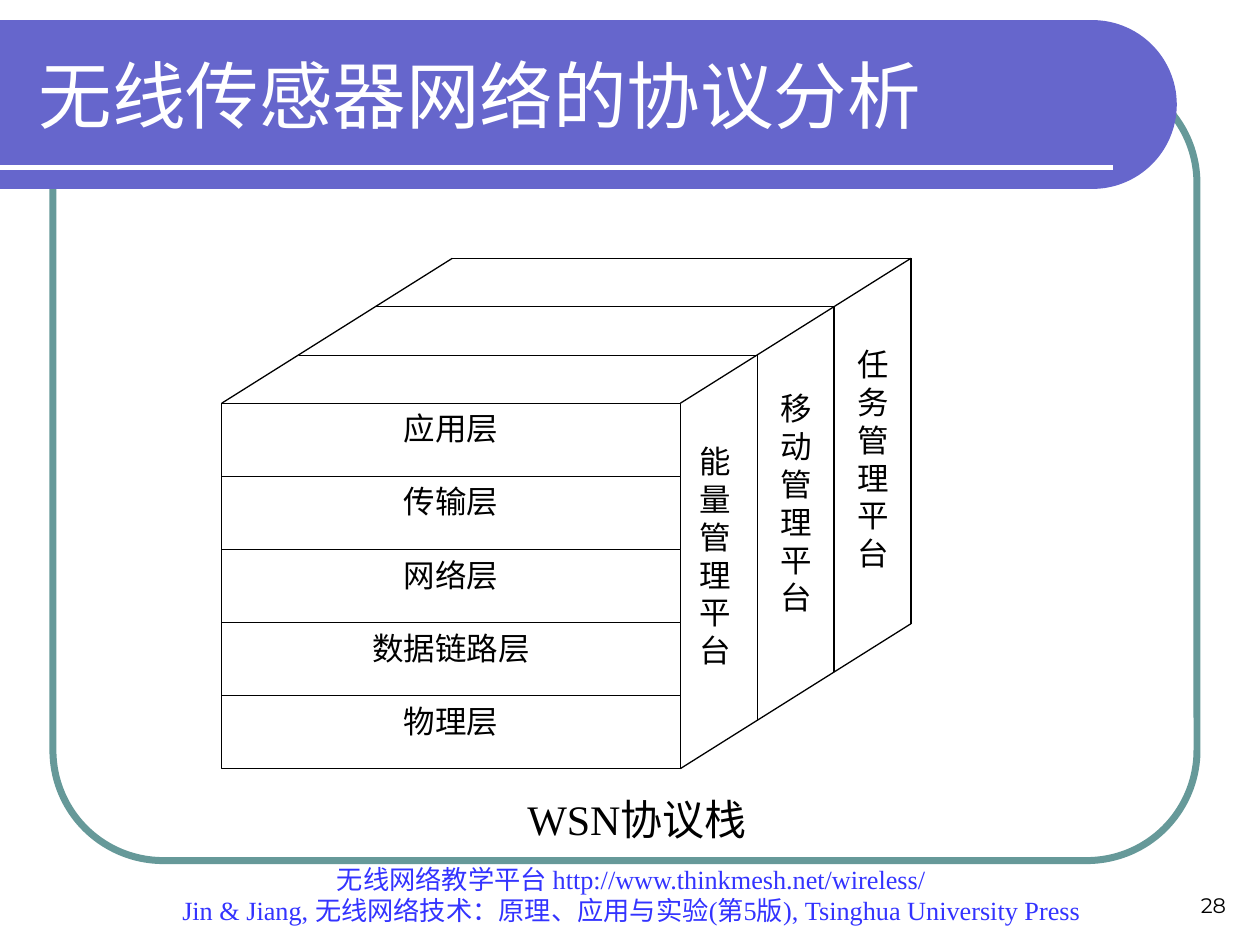
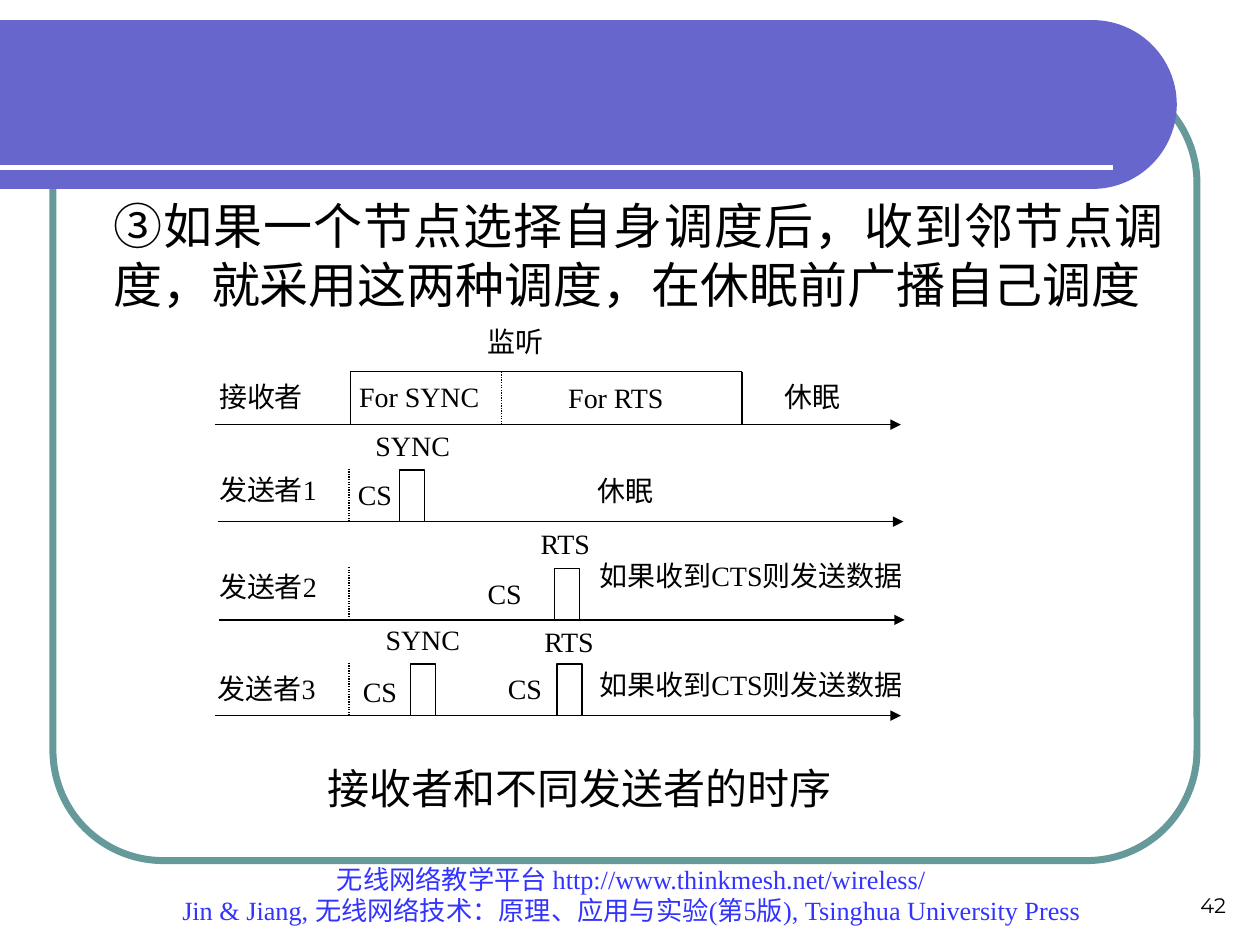
"""Build two slides on wireless sensor network protocols."""
import math

import lxml.etree
import pptx
import pptx.dml.color
import pptx.enum.dml
import pptx.enum.shapes
import pptx.enum.text
import pptx.oxml.ns
import pptx.util

PX = 9144
COLORS = {
    "band": "6666CC", "frame": "669999", "footer": "3333FF",
    "paper": "FFFFFF", "ink": "000000",
}
SERIF, SANS, NUMBER_FONT = "Times New Roman", "Arial", "Montserrat"
ALIGN = pptx.enum.text.PP_ALIGN
ANCHOR = pptx.enum.text.MSO_ANCHOR
SHAPE = pptx.enum.shapes.MSO_SHAPE

FOOTER = [
    "无线网络教学平台 http://www.thinkmesh.net/wireless/",
    "Jin & Jiang, 无线网络技术：原理、应用与实验(第5版), Tsinghua University Press",
]

STACK_TITLE = "无线传感器网络的协议分析"
STACK_CAPTION = "WSN协议栈"
LAYERS = ["应用层", "传输层", "网络层", "数据链路层", "物理层"]
PLANES = [("能量管理平台", 546, 351), ("移动管理平台", 610, 309), ("任务管理平台", 671, 274)]
STACK_LEFT, STACK_TOP, LAYER_WIDTH, LAYER_HEIGHT = 176, 320, 364, 58
DEPTH_X, DEPTH_Y = 183, 115

SCHEDULE_RULE = "③如果一个节点选择自身调度后，收到邻节点调度，就采用这两种调度，在休眠前广播自己调度"
TIMING_CAPTION = "接收者和不同发送者的时序"
AXIS_LENGTH, TICK_X, TICK_HEIGHT = 544, 277, 42
PULSE_WIDTH, PULSE_HEIGHT = 20, 41
LISTEN_LEFT, LISTEN_SPLIT, LISTEN_RIGHT = 278, 398, 589
LANES = [
    {"axis": (171, 337), "actor": ("接收者", 174, 301), "pulses": [],
     "labels": [("监听", 387, 258, 53), ("For SYNC", 285, 301, 104),
                ("For RTS", 451, 302, 82), ("休眠", 623, 301, 53)]},
    {"axis": (173, 414), "actor": ("发送者1", 174, 375), "pulses": [317],
     "labels": [("SYNC", 298, 340, 68), ("CS", 284, 379, 29), ("休眠", 474, 376, 53)]},
    {"axis": (174, 492), "actor": ("发送者2", 174, 452), "pulses": [440],
     "labels": [("RTS", 429, 418, 43), ("CS", 387, 458, 29),
                ("如果收到CTS则发送数据", 476, 443, 270)]},
    {"axis": (171, 568), "actor": ("发送者3", 173, 533), "pulses": [326, 442],
     "labels": [("SYNC", 306, 494, 68), ("RTS", 432, 496, 43), ("CS", 288, 535, 29),
                ("CS", 403, 533, 29), ("如果收到CTS则发送数据", 476, 530, 268)]},
]


def color(name):
    return pptx.dml.color.RGBColor.from_string(COLORS[name])


def write(shape, lines, size, font=SERIF, ink="ink", align=ALIGN.LEFT,
          anchor=ANCHOR.TOP, inset=(10, 5)):
    frame = shape.text_frame
    frame.word_wrap = True
    frame.vertical_anchor = anchor
    frame.margin_left = frame.margin_right = inset[0] * PX
    frame.margin_top = frame.margin_bottom = inset[1] * PX
    frame.text = "\n".join(lines)
    for paragraph in frame.paragraphs:
        paragraph.alignment = align
        for run in paragraph.runs:
            run.font.size = pptx.util.Pt(size)
            run.font.name = font
            run.font.color.rgb = color(ink)


def add_text(slide, box, lines, size, **style):
    shape = slide.shapes.add_textbox(*(value * PX for value in box))
    write(shape, lines, size, **style)
    return shape


def paint(shape, fill=None, line=None, width=0.75):
    shape.shadow.inherit = False
    if fill:
        shape.fill.solid()
        shape.fill.fore_color.rgb = color(fill)
    else:
        shape.fill.background()
    if line:
        shape.line.color.rgb = color(line)
        shape.line.width = pptx.util.Pt(width)
    else:
        shape.line.fill.background()


def add_box(slide, box, line=None, kind=SHAPE.RECTANGLE, fill="paper", width=0.75):
    shape = slide.shapes.add_shape(kind, *(value * PX for value in box))
    paint(shape, fill, line, width)
    return shape


def add_line(slide, start, end, ink="ink", width=0.75, dotted=False, arrow=False):
    connector = slide.shapes.add_connector(
        pptx.enum.shapes.MSO_CONNECTOR.STRAIGHT, *(value * PX for value in start + end))
    connector.line.color.rgb = color(ink)
    connector.line.width = pptx.util.Pt(width)
    if dotted:
        connector.line.dash_style = pptx.enum.dml.MSO_LINE.ROUND_DOT
    qualified = pptx.oxml.ns.qn
    if arrow:
        outline = connector.line._get_or_add_ln()
        lxml.etree.SubElement(outline, qualified("a:tailEnd"), type="triangle")
    lxml.etree.SubElement(connector._element.spPr, qualified("a:effectLst"))


def add_band(slide):
    radius, center_x, center_y = 67, 867, 83
    arc = []
    for degree in range(-90, 91, 3):
        angle = math.radians(degree)
        arc.append((round((center_x + radius * math.cos(angle)) * PX),
                    round((center_y + radius * math.sin(angle)) * PX)))
    builder = slide.shapes.build_freeform(0, arc[0][1], scale=1.0)
    builder.add_line_segments(arc + [(0, arc[-1][1])], close=True)
    paint(builder.convert_to_shape(), "band")


def add_base_slide(presentation, number):
    slide = presentation.slides.add_slide(presentation.slide_layouts[6])
    frame = add_box(slide, (42, 58, 908, 625), "frame", SHAPE.ROUNDED_RECTANGLE, None, 4)
    frame.adjustments[0] = 0.14
    add_band(slide)
    add_line(slide, (0, 133), (883, 133), "paper", 3)
    add_text(slide, (77, 698, 848, 42), FOOTER, 15, ink="footer",
             align=ALIGN.CENTER, anchor=ANCHOR.BOTTOM)
    add_text(slide, (750, 683, 233, 50), [str(number)], 12, font=NUMBER_FONT,
             align=ALIGN.RIGHT, anchor=ANCHOR.BOTTOM)
    return slide


def add_caption(slide, box, text, font):
    add_text(slide, box, [text], 24, font=font, align=ALIGN.CENTER,
             anchor=ANCHOR.MIDDLE, inset=(0, 5))


def build_stack_slide(presentation):
    slide = add_base_slide(presentation, 28)
    add_text(slide, (21, 25, 877, 100), [STACK_TITLE], 42, font=SANS, ink="paper",
             anchor=ANCHOR.MIDDLE)
    for index, layer in enumerate(LAYERS):
        top = STACK_TOP + index * LAYER_HEIGHT
        shape = add_box(slide, (STACK_LEFT, top, LAYER_WIDTH, LAYER_HEIGHT), "ink")
        write(shape, [layer], 18, align=ALIGN.CENTER)
    right = STACK_LEFT + LAYER_WIDTH
    height = LAYER_HEIGHT * len(LAYERS)
    bottom = STACK_TOP + height
    back_top = STACK_TOP - DEPTH_Y
    add_line(slide, (STACK_LEFT, STACK_TOP), (STACK_LEFT + DEPTH_X, back_top))
    add_line(slide, (right, STACK_TOP), (right + DEPTH_X, back_top))
    add_line(slide, (right, bottom), (right + DEPTH_X, bottom - DEPTH_Y))
    for index, (plane, label_left, label_top) in enumerate(PLANES, 1):
        shift = round(DEPTH_X * index / len(PLANES))
        top = STACK_TOP - round(DEPTH_Y * index / len(PLANES))
        add_line(slide, (STACK_LEFT + shift, top), (right + shift, top))
        add_line(slide, (right + shift, top), (right + shift, top + height))
        shape = add_box(slide, (label_left, label_top, 44, 219))
        write(shape, [plane], 18, align=ALIGN.CENTER, inset=(0, 0))
    add_caption(slide, (402, 625, 207, 50), STACK_CAPTION, SERIF)


def add_label(slide, text, left, top, width, height=30):
    write(add_box(slide, (left, top, width, height)), [text], 16, inset=(0, 0))


def build_timing_slide(presentation):
    slide = add_base_slide(presentation, 42)
    rule = add_text(slide, (42, 150, 892, 508), [SCHEDULE_RULE], 28, font=SANS,
                    align=ALIGN.JUSTIFY)
    rule.text_frame.paragraphs[0]._p.get_or_add_pPr().set("marL", str(38 * PX))
    for lane in LANES:
        left, axis = lane["axis"]
        add_line(slide, (left, axis), (left + AXIS_LENGTH, axis), arrow=True)
        add_label(slide, *lane["actor"], 90, 32)
        for label in lane["labels"]:
            add_label(slide, *label)
        for pulse in lane["pulses"]:
            add_box(slide, (pulse, axis - PULSE_HEIGHT, PULSE_WIDTH, PULSE_HEIGHT), "ink")
        if lane["pulses"]:
            add_line(slide, (TICK_X, axis - TICK_HEIGHT), (TICK_X, axis), dotted=True)
    axis = LANES[0]["axis"][1]
    top = axis - TICK_HEIGHT
    add_line(slide, (LISTEN_LEFT, top), (LISTEN_RIGHT, top))
    for x in (LISTEN_LEFT, LISTEN_SPLIT, LISTEN_RIGHT):
        add_line(slide, (x, top), (x, axis), dotted=x == LISTEN_SPLIT)
    add_caption(slide, (250, 600, 420, 50), TIMING_CAPTION, SANS)


def main():
    presentation = pptx.Presentation()
    presentation.slide_width = 1000 * PX
    presentation.slide_height = 750 * PX
    build_stack_slide(presentation)
    build_timing_slide(presentation)
    presentation.save("out.pptx")


if __name__ == "__main__":
    main()
